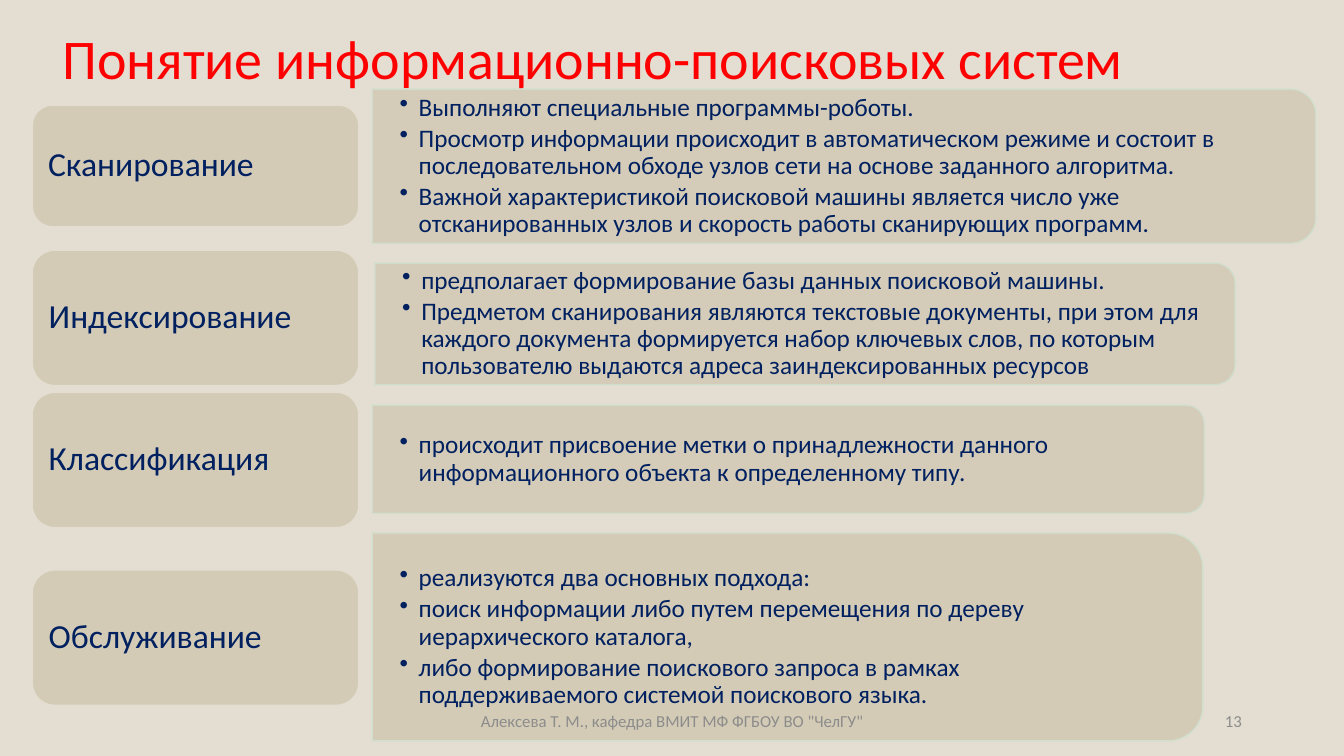
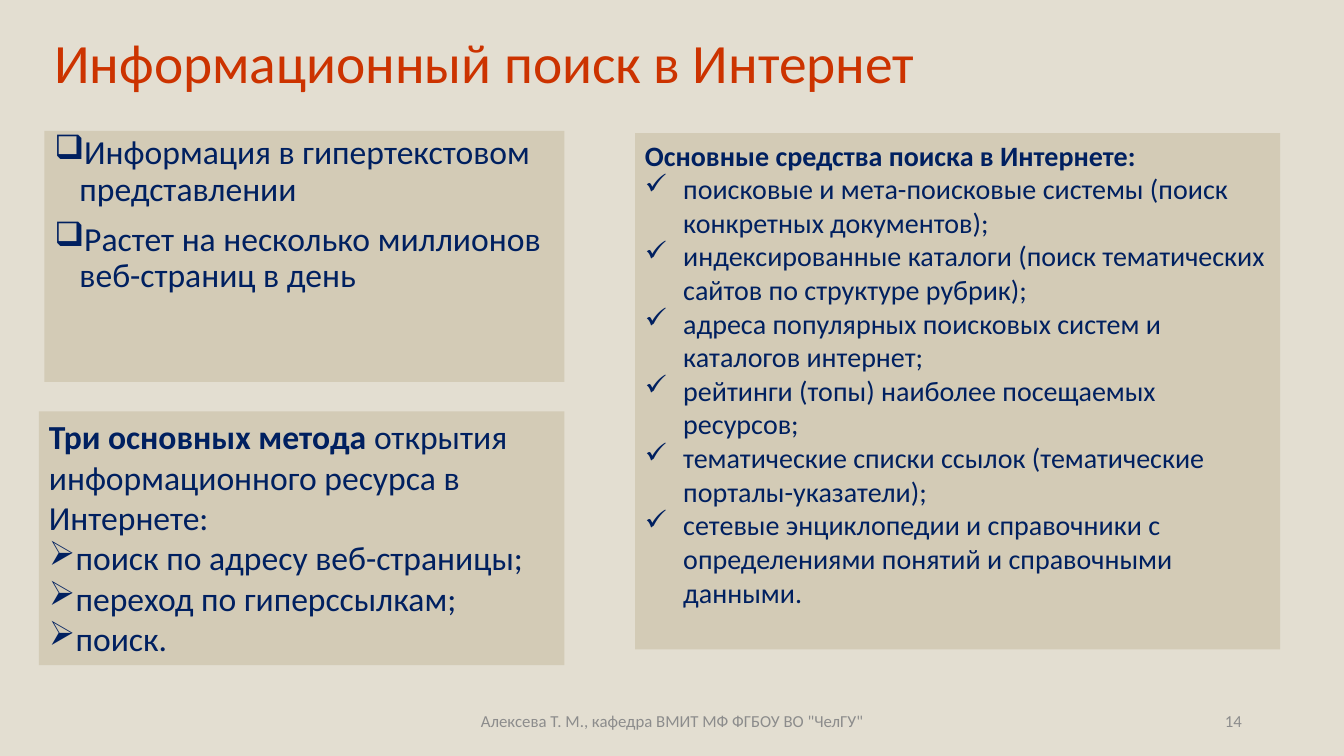
from lxml.etree import SubElement
from pptx import Presentation
from pptx.dml.color import RGBColor
from pptx.enum.shapes import MSO_SHAPE
from pptx.enum.text import MSO_ANCHOR, PP_ALIGN
from pptx.oxml.ns import qn
from pptx.util import Inches, Pt

COLORS = {
    "background": "E3DED1",
    "panel": "D3CBB6",
    "edge": "D1DFCE",
    "text": "002060",
    "footer": "8C8C8C",
    "red": "FF0000",
    "brick": "CC3300",
}
FONT = "Calibri"
WIDTH, HEIGHT = Inches(13.33), Inches(7.5)
FOOTER = 'Алексева Т. М., кафедра ВМИТ МФ ФГБОУ ВО "ЧелГУ"'

# Boxes are left, top, width, height in percent of the slide.
FOOTER_BOX = (33.15, 92.7, 33.75, 5.3)
NUMBER_BOX = (70.65, 92.7, 22.5, 5.3)

LABEL_STYLE = {"size": 24, "line_spacing": 0.9}
DETAIL_STYLE = {"size": 18, "line_spacing": 0.9, "space_after": Pt(2.7),
                "bullet": "•", "indent": 0.19}
FACTS_STYLE = {"size": 24, "line_spacing": 0.9, "space_before": Pt(10),
               "bullet": "❑", "indent": 0.25}
TOOLS_STYLE = {"size": 20, "bullet": "✓", "indent": 0.38}
METHODS_STYLE = {"size": 24, "bullet": "➢", "indent": 0}

STAGES = [
    ("Сканирование", (2.4, 13.9, 24.3, 16.1), (27.7, 11.8, 70.2, 20.4), 90, [
        "Выполняют специальные программы-роботы.",
        "Просмотр информации происходит в автоматическом режиме и состоит в "
        "последовательном обходе узлов сети на основе заданного алгоритма.",
        "Важной характеристикой поисковой машины является число уже "
        "отсканированных узлов и скорость работы сканирующих программ.",
    ]),
    ("Индексирование", (2.4, 33.1, 24.3, 17.9), (27.9, 34.8, 64, 16.1), 90, [
        "предполагает формирование базы данных поисковой машины.",
        "Предметом сканирования являются текстовые документы, при этом для "
        "каждого документа формируется набор ключевых слов, по которым "
        "пользователю выдаются адреса заиндексированных ресурсов",
    ]),
    ("Классификация", (2.4, 51.9, 24.3, 17.9), (27.7, 53.6, 61.9, 14.3), 90, [
        "происходит присвоение метки о принадлежности данного "
        "информационного объекта к определенному типу.",
    ]),
    ("Обслуживание", (2.4, 75.4, 24.3, 17.9), (27.7, 70.5, 61.8, 27.5), 100, [
        "реализуются два основных подхода:",
        "поиск информации либо путем перемещения по дереву "
        "иерархического каталога,",
        "либо формирование поискового запроса в рамках поддерживаемого "
        "системой поискового языка.",
    ]),
]

# A string is a bulleted item; a list of (text, bold) runs is a heading.
CARDS = [
    ((3.3, 17.3, 38.7, 33.2), FACTS_STYLE, [
        "Информация в гипертекстовом представлении",
        "Растет на несколько миллионов веб-страниц в день",
    ]),
    ((47.25, 17.6, 48, 68.3), TOOLS_STYLE, [
        [("Основные средства поиска в Интернете:", True)],
        "поисковые и мета-поисковые системы (поиск конкретных документов);",
        "индексированные каталоги (поиск тематических сайтов по структуре "
        "рубрик);",
        "адреса популярных поисковых систем и каталогов интернет;",
        "рейтинги (топы) наиболее посещаемых ресурсов;",
        "тематические списки ссылок (тематические порталы-указатели);",
        "сетевые энциклопедии и справочники с определениями понятий и "
        "справочными данными.",
    ]),
    ((2.9, 54.4, 39.1, 33.6), METHODS_STYLE, [
        [("Три основных метода ", True),
         ("открытия информационного ресурса в Интернете:", False)],
        "поиск по адресу веб-страницы;",
        "переход по гиперссылкам;",
        "поиск.",
    ]),
]


def rgb(name):
    return RGBColor.from_string(COLORS[name])


def to_emu(box):
    """Turn a box in percent of the slide into EMU."""
    return [round(share * side / 100)
            for share, side in zip(box, (WIDTH, HEIGHT) * 2)]


def set_bullet(paragraph, bullet, indent):
    properties = paragraph._p.get_or_add_pPr()
    properties.set("marL", str(Inches(indent)))
    properties.set("indent", str(-Inches(indent)))
    SubElement(properties, qn("a:buChar")).set("char", bullet)


def write(frame, items, style, color="text", anchor=MSO_ANCHOR.MIDDLE, **insets):
    frame.word_wrap = True
    frame.vertical_anchor = anchor
    for side, inset in insets.items():
        setattr(frame, f"margin_{side}", Inches(inset))
    for index, item in enumerate(items):
        paragraph = frame.add_paragraph() if index else frame.paragraphs[0]
        is_item = isinstance(item, str)
        if is_item and "bullet" in style:
            set_bullet(paragraph, style["bullet"], style["indent"])
        paragraph.alignment = style.get("alignment", PP_ALIGN.LEFT)
        for key in ("line_spacing", "space_before", "space_after"):
            if key in style and (index or key != "space_before"):
                setattr(paragraph, key, style[key])
        for text, bold in [(item, False)] if is_item else item:
            run = paragraph.add_run()
            run.text = text
            font_format = {"name": FONT, "size": Pt(style["size"]), "bold": bold}
            for key, value in font_format.items():
                setattr(run.font, key, value)
            run.font.color.rgb = rgb(color)


def add_text(slide, box, items, style, **options):
    write(slide.shapes.add_textbox(*to_emu(box)).text_frame, items, style, **options)


def add_panel(slide, preset, place, edge=None, opacity=100):
    panel = slide.shapes.add_shape(preset, *place)
    panel.shadow.inherit = False
    panel.fill.solid()
    panel.fill.fore_color.rgb = rgb("panel")
    if edge:
        panel.line.color.rgb = rgb(edge)
        panel.line.width = Pt(1)
    else:
        panel.line.fill.background()
    if opacity < 100:
        for color in panel._element.spPr.iter(qn("a:srgbClr")):
            SubElement(color, qn("a:alpha")).set("val", str(opacity * 1000))
    return panel


def add_stage(slide, name, label_box, detail_box, opacity, details):
    """Place a stage label and its panel, which is rounded on the right."""
    left, top, width, height = to_emu(detail_box)
    shift = (width - height) // 2
    add_panel(slide, MSO_SHAPE.ROUND_2_SAME_RECTANGLE,
              (left + shift, top - shift, height, width),
              "edge", opacity).rotation = 90
    x, y, columns, rows = detail_box
    add_text(slide, (x, y, columns - 0.03 * rows, rows), details, DETAIL_STYLE,
             left=0.27, right=0.27, top=0, bottom=0)
    label = add_panel(slide, MSO_SHAPE.ROUNDED_RECTANGLE, to_emu(label_box),
                      "background")
    write(label.text_frame, [name], LABEL_STYLE, left=0.1, right=0.1)


def add_card(slide, box, style, items):
    card = add_panel(slide, MSO_SHAPE.RECTANGLE, to_emu(box))
    write(card.text_frame, items, style, anchor=MSO_ANCHOR.TOP)


def add_title(slide, box, title, color, size, line_spacing):
    add_text(slide, box, [title], {"size": size, "line_spacing": line_spacing},
             color=color)


def add_footer(slide, number):
    for box, text, alignment in ((FOOTER_BOX, FOOTER, PP_ALIGN.CENTER),
                                 (NUMBER_BOX, str(number), PP_ALIGN.RIGHT)):
        add_text(slide, box, [text], {"size": 12, "alignment": alignment},
                 color="footer")


def new_slide(deck):
    slide = deck.slides.add_slide(deck.slide_layouts[6])
    slide.background.fill.solid()
    slide.background.fill.fore_color.rgb = rgb("background")
    return slide


def build_stages(deck):
    slide = new_slide(deck)
    for stage in STAGES:
        add_stage(slide, *stage)
    add_footer(slide, 13)
    add_title(slide, (3.9, 2.4, 86.25, 11.3),
              "Понятие информационно-поисковых систем", "red", 40, 0.9)


def build_search(deck):
    slide = new_slide(deck)
    add_title(slide, (3.3, 2.7, 86.25, 10.9),
              "Информационный поиск в Интернет", "brick", 39.6, 1.0)
    add_footer(slide, 14)
    for card in CARDS:
        add_card(slide, *card)


def main():
    deck = Presentation()
    deck.slide_width, deck.slide_height = WIDTH, HEIGHT
    build_stages(deck)
    build_search(deck)
    deck.save("out.pptx")


if __name__ == "__main__":
    main()
